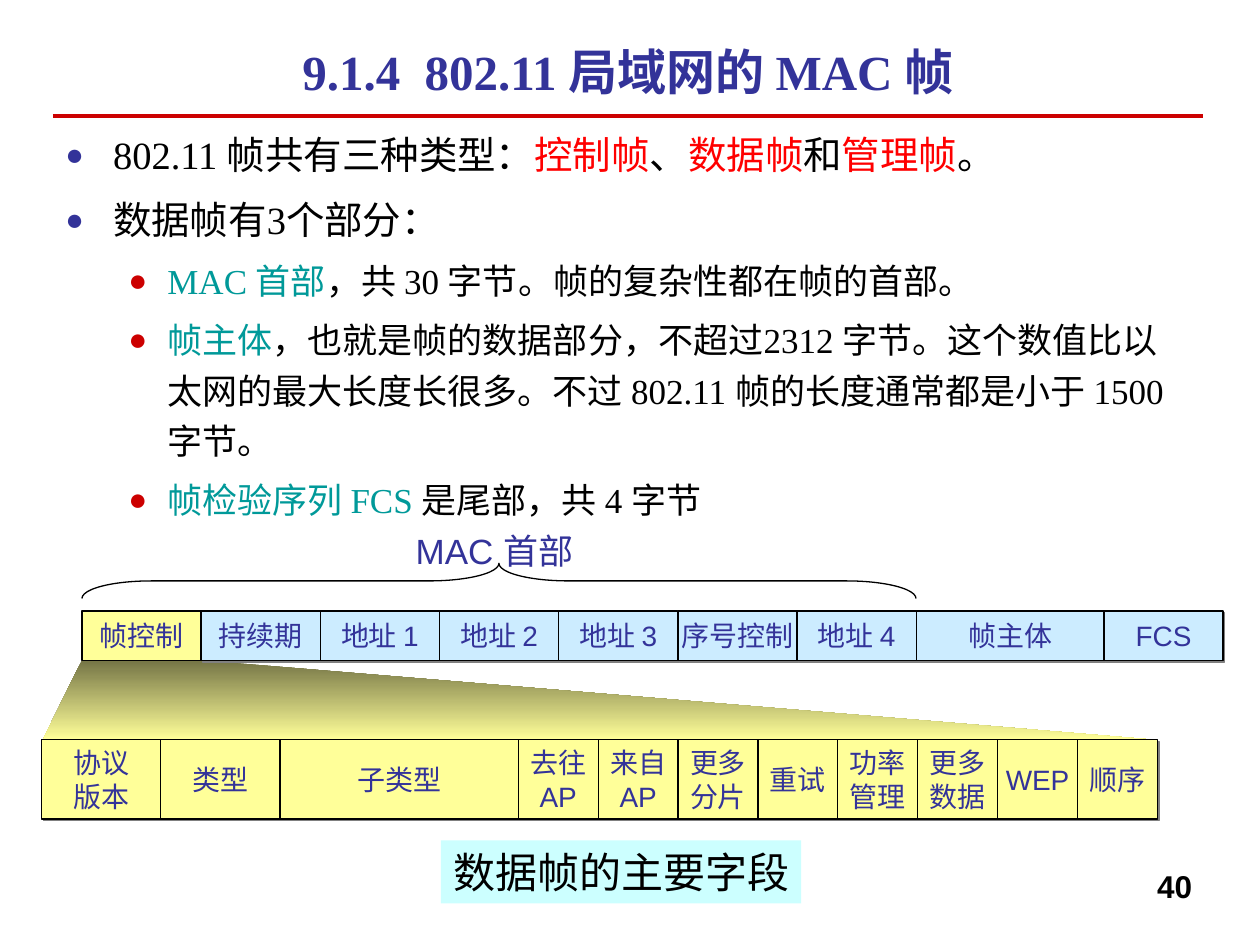
from lxml import etree
from pptx import Presentation
from pptx.dml.color import RGBColor
from pptx.enum import shapes, text
from pptx.oxml.ns import qn
from pptx.util import Inches, Pt

NAVY, RED, TEAL, BLACK = "333399", "CC0000", "009999", "000000"
BRIGHT_RED, YELLOW, BLUE, CYAN = "FF0000", "FFFF99", "CCECFF", "CCFFFF"
SERIF, SANS = "Times New Roman", "Arial"
UNIT = 0.946
FLAG = 0.634
CENTER = text.PP_ALIGN.CENTER


def rgb(value):
    return RGBColor.from_string(value)


def sub(parent, tag, **attrs):
    return etree.SubElement(parent, qn(tag), attrs)


def add_run(p, words, size, font, color, bold=False):
    r = p.add_run()
    r.text = words
    r.font.size = Pt(size)
    r.font.name = font
    r.font.color.rgb = rgb(color)
    r.font.bold = bold


def add_textbox(slide, box, wrap=True):
    sp = slide.shapes.add_textbox(*map(Inches, box))
    sp.text_frame.word_wrap = wrap
    return sp.text_frame


def add_rect(slide, box, fill, line=None):
    sp = slide.shapes.add_shape(shapes.MSO_SHAPE.RECTANGLE, *map(Inches, box))
    sp.shadow.inherit = False
    sp.fill.solid()
    sp.fill.fore_color.rgb = rgb(fill)
    if line:
        sp.line.color.rgb = rgb(line)
        sp.line.width = Pt(0.75)
    else:
        sp.line.fill.background()
    return sp


def add_drop_shadow(sp):
    effects = sp._element.spPr.find(qn("a:effectLst"))
    shadow = sub(effects, "a:outerShdw", dist=str(Pt(1.4)), dir="2700000",
                 algn="ctr", rotWithShape="0")
    sub(shadow, "a:srgbClr", val="808080")


def add_title(slide, box):
    left, top, width, height = box
    tf = add_textbox(slide, box)
    tf.margin_top = 0
    tf.vertical_anchor = text.MSO_ANCHOR.MIDDLE
    p = tf.paragraphs[0]
    p.alignment = CENTER
    add_run(p, "9.1.4  802.11 局域网的 MAC 帧", 28, SERIF, NAVY, True)
    y = Inches(top + height)
    rule = slide.shapes.add_connector(shapes.MSO_CONNECTOR.STRAIGHT,
                                      Inches(left), y, Inches(left + width), y)
    rule.line.color.rgb = rgb(RED)
    rule.line.width = Pt(2)
    sub(rule._element.spPr, "a:effectLst")


def set_bullet(p, margin, indent, color, percent):
    pPr = p._p.get_or_add_pPr()
    pPr.set("marL", str(Inches(margin)))
    pPr.set("indent", str(Inches(indent)))
    sub(sub(pPr, "a:buClr"), "a:srgbClr", val=color)
    sub(pPr, "a:buSzPct", val=str(percent * 1000))
    sub(pPr, "a:buFont", typeface=SANS)
    sub(pPr, "a:buChar", char="●")


def add_body(slide, box):
    levels = [(22, 5.5, (0.38, -0.38, NAVY, 80)),
              (20, 5, (0.81, -0.31, RED, 90))]
    items = [
        (0, [("802.11 帧共有三种类型：", BLACK), ("控制帧", BRIGHT_RED), ("、", BLACK),
             ("数据帧", BRIGHT_RED), ("和", BLACK), ("管理帧", BRIGHT_RED), ("。", BLACK)]),
        (0, [("数据帧有3个部分：", BLACK)]),
        (1, [("MAC 首部", TEAL), ("，共 30 字节。帧的复杂性都在帧的首部。", BLACK)]),
        (1, [("帧主体", TEAL),
             ("，也就是帧的数据部分，不超过2312 字节。这个数值比以太网的最大长度长很多。"
              "不过 802.11 帧的长度通常都是小于 1500 字节。", BLACK)]),
        (1, [("帧检验序列 FCS ", TEAL), ("是尾部，共 4 字节", BLACK)]),
    ]
    tf = add_textbox(slide, box)
    for i, (level, runs) in enumerate(items):
        size, before, bullet = levels[level]
        p = tf.add_paragraph() if i else tf.paragraphs[0]
        p.level = level
        set_bullet(p, *bullet)
        p.line_spacing = 1.2
        if i:
            p.space_before = Pt(before)
        for words, color in runs:
            add_run(p, words, size, SERIF, color)


def add_field(slide, box, label, fill, shadow=True):
    sp = add_rect(slide, box, fill, BLACK)
    if shadow:
        add_drop_shadow(sp)
    tf = sp.text_frame
    tf.word_wrap = False
    tf.vertical_anchor = text.MSO_ANCHOR.MIDDLE
    for i, words in enumerate(label.split("\n")):
        p = tf.add_paragraph() if i else tf.paragraphs[0]
        p.alignment = CENTER
        add_run(p, words, 16, SANS, NAVY)


def add_frame_row(slide, left, top, height):
    fields = [(name, UNIT) for name in
              ("帧控制", "持续期", "地址 1", "地址 2", "地址 3", "序号控制", "地址 4")]
    fields += [("帧主体", 1.49), ("FCS", UNIT)]
    for i, (label, width) in enumerate(fields):
        add_field(slide, (left, top, width, height), label, BLUE if i else YELLOW, i > 0)
        left += width


def add_control_row(slide, left, top, height):
    fields = [("协议\n版本", UNIT), ("类型", UNIT), ("子类型", 2 * UNIT)]
    fields += [(name, FLAG) for name in
               ("去往\nAP", "来自\nAP", "更多\n分片", "重试", "功率\n管理", "更多\n数据", "WEP", "顺序")]
    for label, width in fields:
        add_field(slide, (left, top, width, height), label, YELLOW)
        left += width


def add_expansion(slide, box):
    left, top, width, height = box
    bottom = top + height
    corners = [(0.65, top), (0.65 + UNIT, top), (left + width, bottom)]
    builder = slide.shapes.build_freeform(Inches(left), Inches(bottom))
    builder.add_line_segments([(Inches(x), Inches(y)) for x, y in corners])
    sp = builder.convert_to_shape()
    sp.shadow.inherit = False
    sp.line.fill.background()
    sp.fill.gradient()
    sp.fill.gradient_angle = 270
    for stop, color in zip(sp.fill.gradient_stops, ("757546", YELLOW)):
        stop.color.rgb = rgb(color)


def add_header_brace(slide, box):
    left, top, width, height = box
    sp = slide.shapes.add_shape(
        shapes.MSO_SHAPE.RIGHT_BRACE,
        Inches(left + (width - height) / 2), Inches(top + (height - width) / 2),
        Inches(height), Inches(width))
    sp.rotation = 270
    sp.adjustments[0] = 1.97
    sp.shadow.inherit = False
    sp.fill.background()
    sp.line.color.rgb = rgb(BLACK)
    sp.line.width = Pt(0.75)
    tf = add_textbox(slide, (3.2, top - 0.32, 1.52, 0.44), False)
    add_run(tf.paragraphs[0], "MAC 首部", 20, SANS, NAVY)


def add_caption(slide, box):
    tf = add_rect(slide, box, CYAN).text_frame
    tf.word_wrap = False
    tf.vertical_anchor = text.MSO_ANCHOR.TOP
    p = tf.paragraphs[0]
    p.alignment = text.PP_ALIGN.LEFT
    add_run(p, "数据帧的主要字段", 24, SANS, BLACK)


def add_page_number(slide, box):
    p = add_textbox(slide, box).paragraphs[0]
    p.alignment = text.PP_ALIGN.RIGHT
    add_run(p, "40", 18, SANS, BLACK, True)


def main():
    prs = Presentation()
    prs.slide_width, prs.slide_height = Inches(10), Inches(7.5)
    slide = prs.slides.add_slide(prs.slide_layouts[6])
    add_title(slide, (0.42, 0.25, 9.13, 0.67))
    add_body(slide, (0.42, 0.92, 9.13, 5.92))
    add_expansion(slide, (0.34, 5.24, 8.81, 0.63))
    add_frame_row(slide, 0.65, 4.85, 0.39)
    add_control_row(slide, 0.33, 5.87, 0.63)
    add_header_brace(slide, (0.65, 4.47, 6.62, 0.28))
    add_caption(slide, (3.5, 6.67, 2.86, 0.5))
    add_page_number(slide, (7.23, 6.83, 2.33, 0.52))
    prs.save("out.pptx")


if __name__ == "__main__":
    main()
